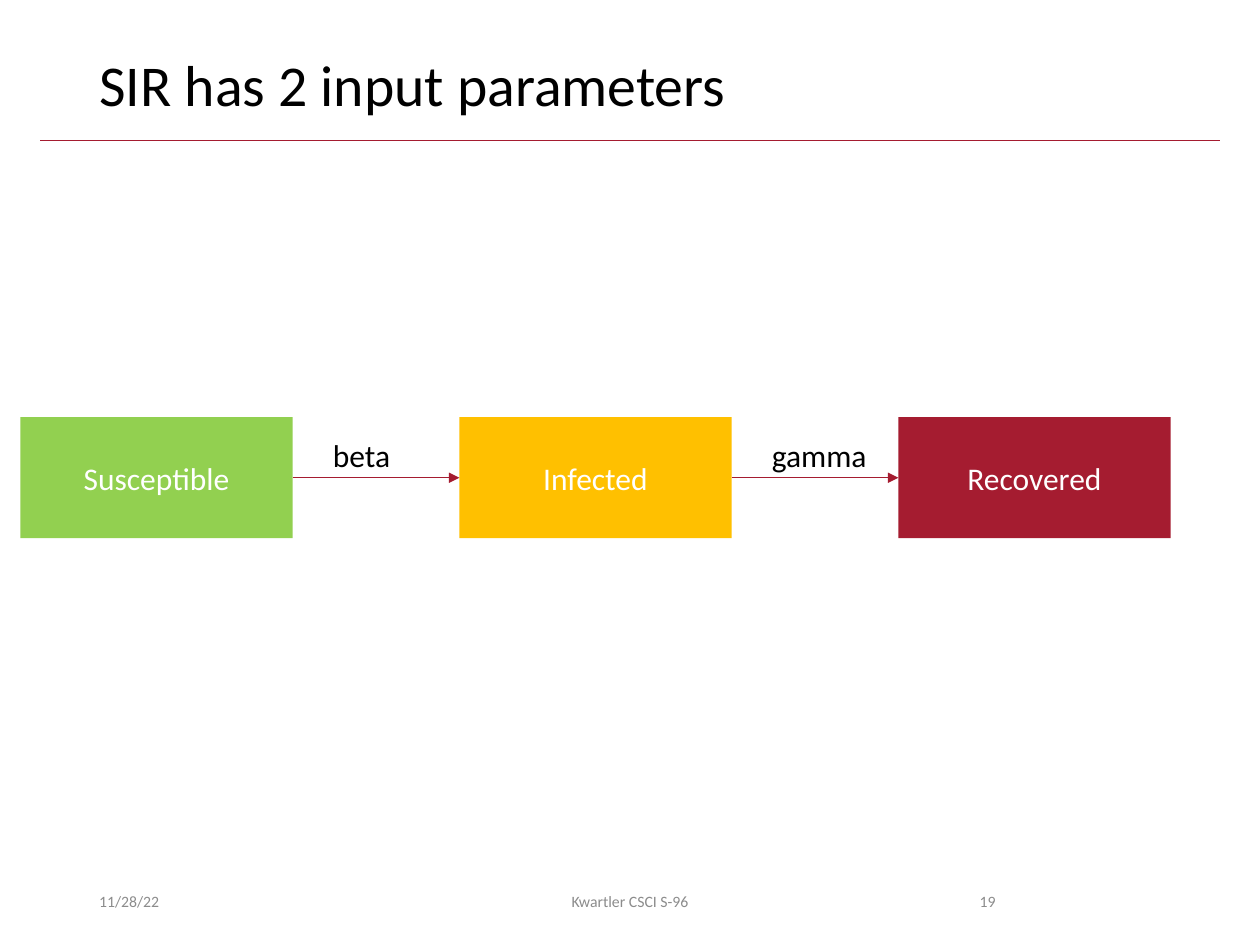
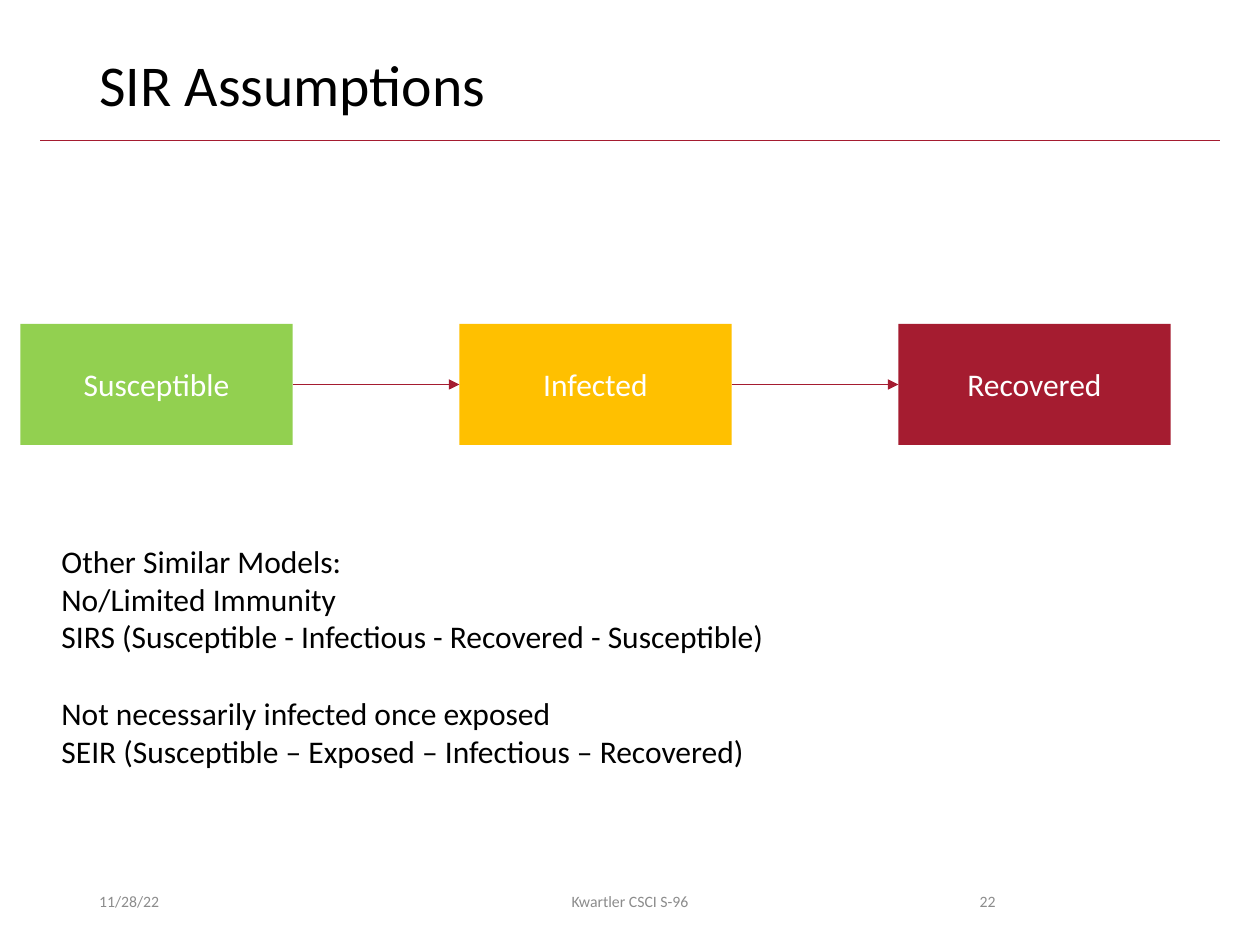
"""Build two slides on the SIR model: its input rates and its assumptions."""
from typing import NamedTuple

from lxml import etree
from pptx import Presentation
from pptx import util as u
from pptx.dml.color import RGBColor
from pptx.enum import shapes, text
from pptx.oxml.ns import qn

HUES = {
    "ink": "000000",
    "paper": "FFFFFF",
    "grey": "8C8C8C",
    "green": "92D050",
    "gold": "FFC000",
    "red": "A51C30",
}
FONT = "Calibri"
ALIGN = text.PP_ALIGN
MID = text.MSO_ANCHOR.MIDDLE
TOP = text.MSO_ANCHOR.TOP


class Area(NamedTuple):
    left: float
    top: float
    width: float
    height: float

    def cm(self) -> list[u.Cm]:
        return [u.Cm(side) for side in self]


class Style(NamedTuple):
    size: float
    hue: str
    align: ALIGN = ALIGN.LEFT
    anchor: text.MSO_ANCHOR = TOP
    wrap: bool = True


class Stage(NamedTuple):
    name: str
    hue: str


class Line(NamedTuple):
    words: str
    before: float = 0


class Foot(NamedTuple):
    words: str
    area: Area
    align: ALIGN


STAGES = [
    Stage("Susceptible", "green"),
    Stage("Infected", "gold"),
    Stage("Recovered", "red"),
]
BOX = Area(0.41, 0, 5.49, 2.44)
PITCH = 8.85
TITLE = Area(1.75, 1.02, 21.9, 1.65)
RULE = (0.81, 2.84, 24.59)
NOTES = Area(0.99, 10.8, 23.5, 6.4)
MODELS = [
    Line("Other Similar Models:"),
    Line("No/Limited Immunity"),
    Line("SIRS (Susceptible - Infectious - Recovered - Susceptible)"),
    Line("Not necessarily infected once exposed", 22),
    Line("SEIR (Susceptible – Exposed – Infectious – Recovered)"),
]
HEAD = Style(33, "ink")
BODY = Style(18, "ink")
LABEL = Style(18, "ink", wrap=False)
NODE = Style(18, "paper", ALIGN.CENTER, MID)


def tint(hue: str) -> RGBColor:
    """Give the colour of a named hue."""
    return RGBColor.from_string(HUES[hue])


def write(shape, lines: list[Line], style: Style) -> None:
    """Fill a shape with lines of text in one style."""
    frame = shape.text_frame
    frame.auto_size = text.MSO_AUTO_SIZE.NONE
    frame.word_wrap = style.wrap
    frame.vertical_anchor = style.anchor
    for index, line in enumerate(lines):
        para = frame.add_paragraph() if index else frame.paragraphs[0]
        para.alignment = style.align
        para.space_before = u.Pt(line.before)
        run = para.add_run()
        run.text = line.words
        run.font.name = FONT
        run.font.size = u.Pt(style.size)
        run.font.color.rgb = tint(style.hue)


def put_text(slide, area: Area, lines: list[Line], style: Style) -> None:
    """Add a text box."""
    write(slide.shapes.add_textbox(*area.cm()), lines, style)


def put_line(slide, left: float, top: float, right: float, arrow: bool = False):
    """Add a thin level line, with an arrowhead if asked."""
    line = slide.shapes.add_connector(
        shapes.MSO_CONNECTOR.STRAIGHT, u.Cm(left), u.Cm(top), u.Cm(right), u.Cm(top)
    )
    line.line.color.rgb = tint("red")
    line.line.width = u.Pt(0.5)
    if arrow:
        etree.SubElement(line.line._get_or_add_ln(), qn("a:tailEnd"), type="triangle")
    etree.SubElement(line._element.spPr, qn("a:effectLst"))
    return line


def put_box(slide, stage: Stage, area: Area):
    """Add the coloured box of one stage."""
    box = slide.shapes.add_shape(shapes.MSO_SHAPE.RECTANGLE, *area.cm())
    box.shadow.inherit = False
    box.fill.solid()
    box.fill.fore_color.rgb = tint(stage.hue)
    box.line.fill.background()
    write(box, [Line(stage.name)], NODE)
    return box


def put_flow(slide, top: float, rates: tuple[str, ...] = ()) -> None:
    """Add the chain of stages, its arrows and the rates above them."""
    areas = [
        BOX._replace(left=BOX.left + PITCH * step, top=top)
        for step in range(len(STAGES))
    ]
    boxes = [put_box(slide, *pair) for pair in zip(STAGES, areas)]
    for step, area in enumerate(areas[:-1]):
        end = area.left + area.width
        line = put_line(slide, end, top + BOX.height / 2, areas[step + 1].left, True)
        line.begin_connect(boxes[step], 3)
        line.end_connect(boxes[step + 1], 1)
    for area, rate in zip(areas, rates):
        spot = Area(area.left + BOX.width + 0.56, top + 0.25, 2.4, 1.02)
        put_text(slide, spot, [Line(rate)], LABEL)


def add_slide(deck, title: str, number: int):
    """Add a slide with its title, rule and footers."""
    slide = deck.slides.add_slide(deck.slide_layouts[5])
    head = slide.shapes.title
    head.left, head.top, head.width, head.height = TITLE.cm()
    write(head, [Line(title)], HEAD)
    head.text_frame.paragraphs[0].line_spacing = 0.9
    put_line(slide, *RULE)
    feet = [
        Foot("11/28/22", Area(1.75, 17.65, 5.72, 1.02), ALIGN.LEFT),
        Foot("Kwartler CSCI S-96", Area(8.41, 17.65, 8.58, 1.02), ALIGN.CENTER),
        Foot(str(number), Area(17.93, 17.65, 2.39, 1.02), ALIGN.RIGHT),
    ]
    for foot in feet:
        put_text(slide, foot.area, [Line(foot.words)], Style(9, "grey", foot.align, MID))
    return slide


def main() -> None:
    """Build and save the deck."""
    deck = Presentation()
    deck.slide_width, deck.slide_height = u.Cm(25.4), u.Cm(19.05)
    put_flow(add_slide(deck, "SIR has 2 input parameters", 19), 8.41, ("beta", "gamma"))
    models = add_slide(deck, "SIR Assumptions", 22)
    put_flow(models, 6.53)
    put_text(models, NOTES, MODELS, BODY)
    deck.save("out.pptx")


if __name__ == "__main__":
    main()
